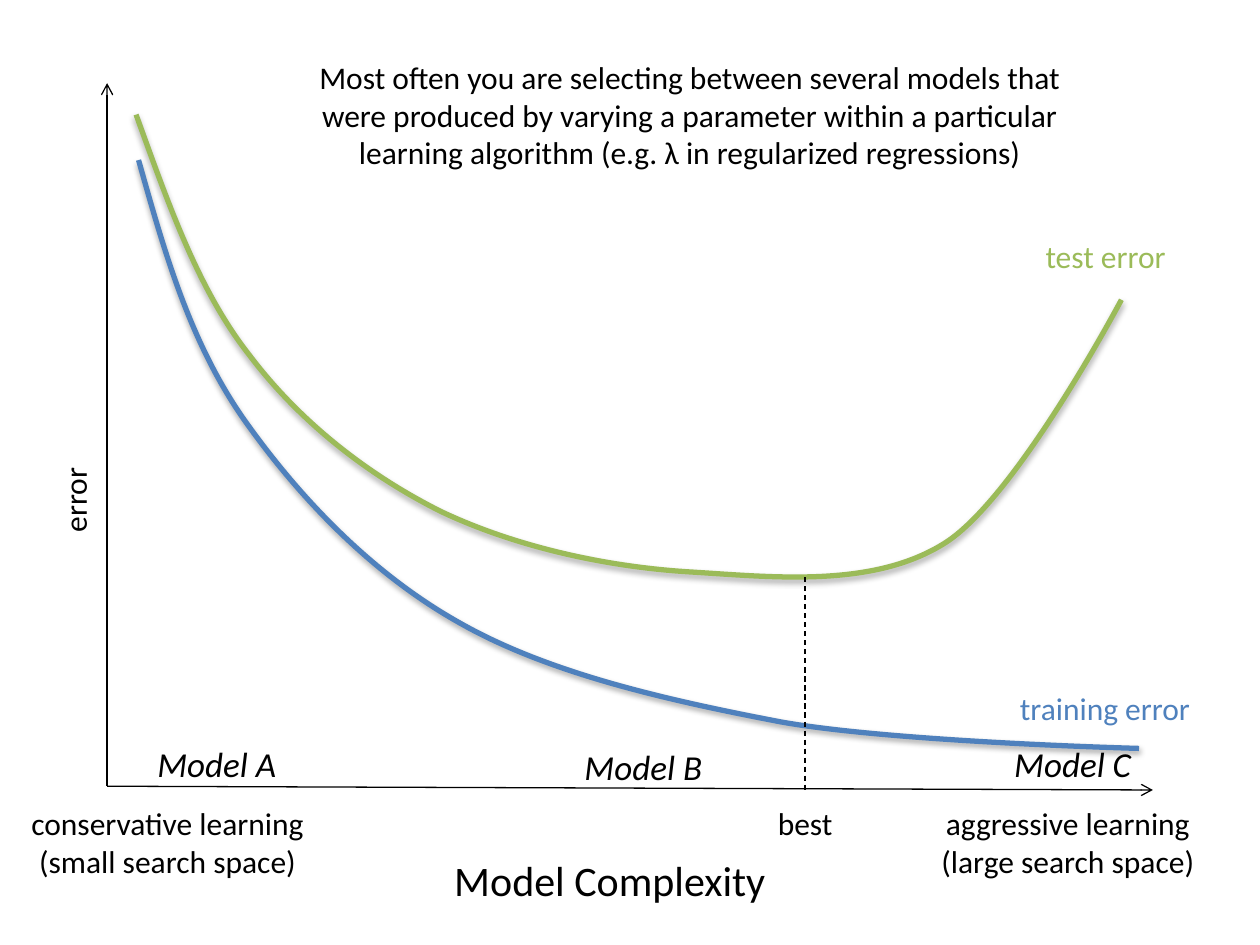
import pptx
import pptx.dml.color
import pptx.enum.dml
import pptx.enum.shapes
import pptx.enum.text
import pptx.oxml
import pptx.oxml.ns
import pptx.util
from pptx.util import Inches

BLACK = pptx.dml.color.RGBColor(0x00, 0x00, 0x00)
BLUE = pptx.dml.color.RGBColor(0x4F, 0x81, 0xBD)
GREEN = pptx.dml.color.RGBColor(0x9B, 0xBB, 0x59)
CENTER = pptx.enum.text.PP_ALIGN.CENTER
LEFT = pptx.enum.text.PP_ALIGN.LEFT
UNITS = 1000
NAMESPACE = pptx.oxml.ns.nsdecls("a")
SHADOW = (
    f'<a:outerShdw {NAMESPACE} blurRad="40000" dist="23000" dir="5400000" rotWithShape="0">'
    '<a:srgbClr val="000000"><a:alpha val="35000"/></a:srgbClr></a:outerShdw>'
)

TRAINING_CURVE = [
    (1.1, 1.27), (1.3, 1.98), (1.5, 2.7), (1.93, 3.32), (2.36, 3.93), (2.94, 4.55),
    (3.66, 4.95), (4.37, 5.35), (5.31, 5.56), (6.2, 5.73), (7.1, 5.89), (9.04, 5.94),
    (9.04, 5.94),
]
TEST_CURVE = [
    (1.08, 0.91), (1.33, 1.6), (1.57, 2.3), (1.98, 2.82), (2.38, 3.35), (2.92, 3.77),
    (3.5, 4.06), (4.09, 4.34), (4.81, 4.5), (5.48, 4.54), (6.14, 4.58), (6.93, 4.67),
    (7.5, 4.31), (8.07, 3.95), (8.9, 2.38), (8.9, 2.38),
]


class ErrorDiagram:
    """Holds the style and the slide on which the error curves are drawn."""

    font = "Calibri"
    thin = pptx.util.Pt(0.75)
    thick = pptx.util.Pt(3)

    def __init__(self, slide):
        self.slide = slide

    def text(self, text, left, top, width, height, size=18, color=BLACK,
             italic=False, align=CENTER, wrap=False, rotation=0):
        shape = self.slide.shapes.add_textbox(
            Inches(left), Inches(top), Inches(width), Inches(height))
        shape.rotation = rotation
        frame = shape.text_frame
        frame.word_wrap = wrap
        frame.auto_size = pptx.enum.text.MSO_AUTO_SIZE.SHAPE_TO_FIT_TEXT
        frame.text = text
        for paragraph in frame.paragraphs:
            paragraph.alignment = align
            font = paragraph.runs[0].font
            font.name, font.size, font.italic = self.font, pptx.util.Pt(size), italic
            font.color.rgb = color

    def line(self, start, end, arrow=False, dashed=False):
        connector = self.slide.shapes.add_connector(
            pptx.enum.shapes.MSO_CONNECTOR.STRAIGHT,
            *(Inches(value) for value in start + end))
        connector.line.color.rgb = BLACK
        connector.line.width = self.thin
        if dashed:
            connector.line.dash_style = pptx.enum.dml.MSO_LINE.DASH
        if arrow:
            connector.line._get_or_add_ln().append(
                pptx.oxml.parse_xml(f'<a:tailEnd {NAMESPACE} type="arrow"/>'))
        connector._element.spPr.append(pptx.oxml.parse_xml(f"<a:effectLst {NAMESPACE}/>"))

    def curve(self, points, height, color):
        start, *controls = [(round(x * UNITS), round(y * UNITS)) for x, y in points]
        builder = self.slide.shapes.build_freeform(*start, scale=Inches(1) / UNITS)
        builder.add_line_segments(controls, close=False)
        shape = builder.convert_to_shape()
        shape.fill.background()
        shape.line.color.rgb = color
        shape.line.width = self.thick
        shape.shadow.inherit = False
        properties = shape._element.spPr
        properties.find(pptx.oxml.ns.qn("a:effectLst")).append(pptx.oxml.parse_xml(SHADOW))
        outline = properties.find(".//" + pptx.oxml.ns.qn("a:path"))
        segments = outline.findall(pptx.oxml.ns.qn("a:lnTo"))
        for first in range(0, len(segments), 3):
            bezier = pptx.oxml.parse_xml(f"<a:cubicBezTo {NAMESPACE}/>")
            outline.append(bezier)
            for segment in segments[first:first + 3]:
                bezier.append(segment[0])
                outline.remove(segment)
        shape.height = Inches(height)
        outline.set("h", str(round(height * UNITS)))


def main():
    presentation = pptx.Presentation()
    presentation.slide_width, presentation.slide_height = Inches(10), Inches(7.5)
    diagram = ErrorDiagram(presentation.slides.add_slide(presentation.slide_layouts[6]))

    origin = (0.85, 6.24)
    diagram.line(origin, (9.15, 6.27), arrow=True)
    diagram.line(origin, (0.85, 0.66), arrow=True)
    diagram.text("aggressive learning\n(large search space)", 7.33, 6.33, 2.29, 0.71)
    diagram.text("conservative learning\n(small search space)", -0.25, 6.33, 3.16, 0.71, wrap=True)
    diagram.text("error", 0.23, 3.77, 0.72, 0.4, rotation=270)

    diagram.curve(TRAINING_CURVE, 4.68, BLUE)
    diagram.text("training error", 7.98, 5.42, 1.58, 0.4, color=BLUE)
    diagram.curve(TEST_CURVE, 3.67, GREEN)
    diagram.text("test error", 8.19, 1.83, 1.17, 0.4, color=GREEN)

    diagram.line((6.39, 4.58), (6.39, 6.27), dashed=True)
    diagram.text("best ", 6.07, 6.33, 0.64, 0.4)
    diagram.text("Model Complexity", 3.49, 6.73, 2.7, 0.5, size=24)
    for name, left, top in (("A", 1.15, 5.84), ("B", 4.54, 5.87), ("C", 7.95, 5.84)):
        diagram.text(f"Model {name}", left, top, 1.21, 0.44, size=20, italic=True, align=LEFT)
    diagram.text(
        "Most often you are selecting between several models that were produced by "
        "varying a parameter within a particular learning algorithm "
        "(e.g. λ in regularized regressions)",
        2.38, 0.41, 6.19, 1.01, wrap=True)

    presentation.save("out.pptx")


if __name__ == "__main__":
    main()
